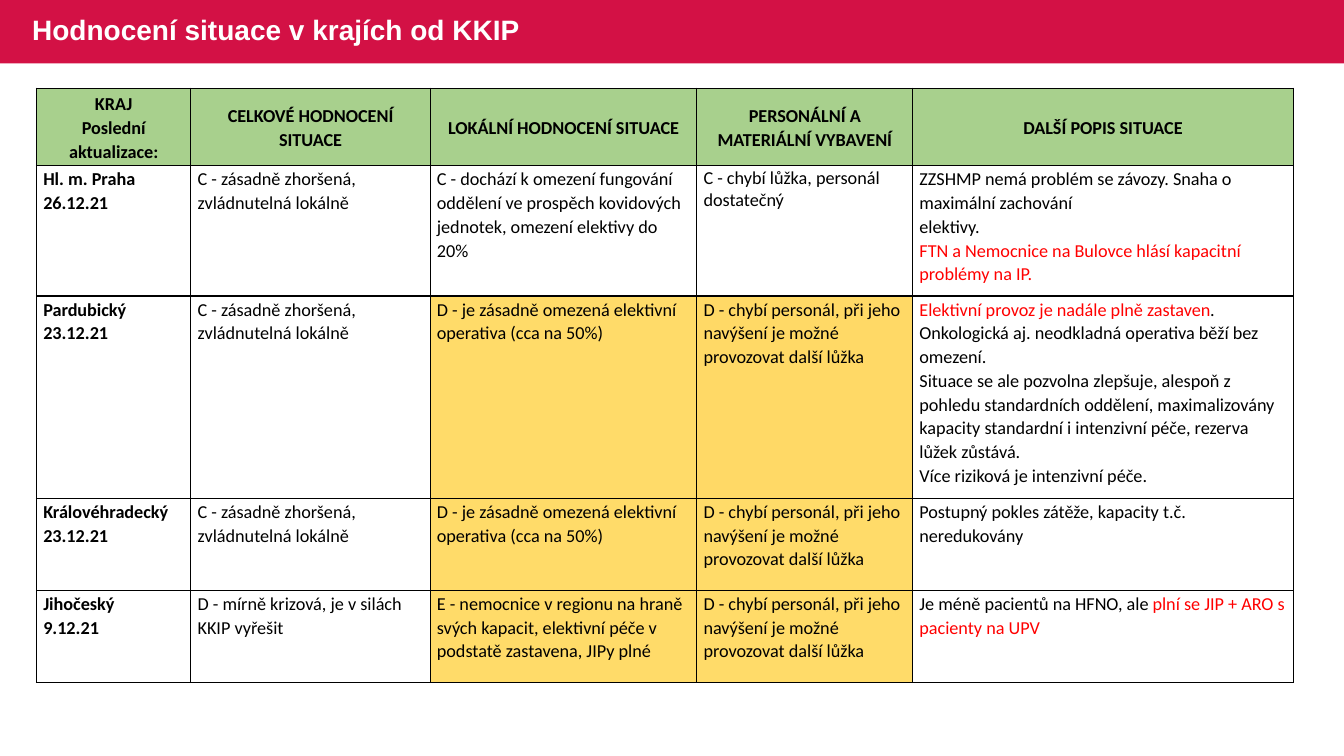
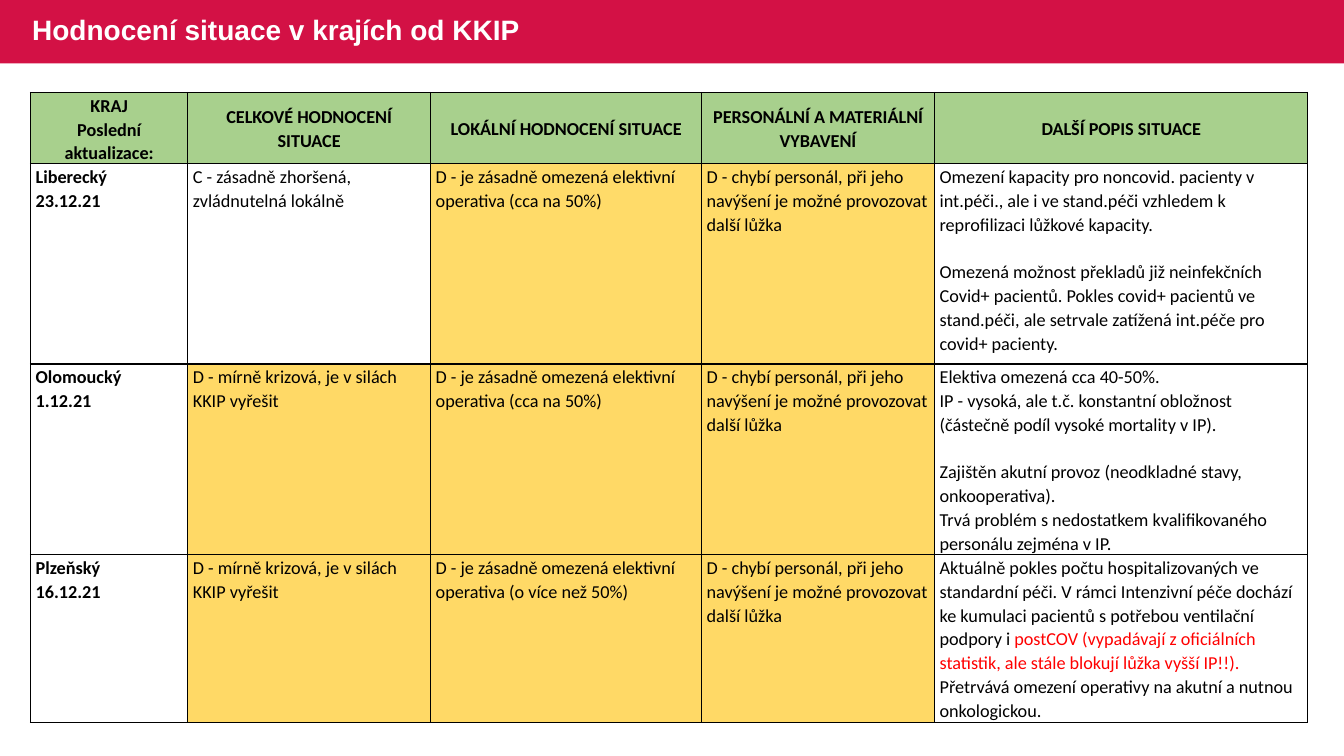
"""Build two slides that rate the situation in the Czech regions."""
from dataclasses import dataclass

from lxml.etree import SubElement
from pptx import Presentation
from pptx.dml.color import RGBColor
from pptx.enum.shapes import MSO_SHAPE
from pptx.enum.text import MSO_ANCHOR, PP_ALIGN
from pptx.oxml.ns import qn
from pptx.util import Cm, Pt

CRIMSON, WHITE, BLACK, RED = "D31145", "FFFFFF", "000000", "FF0000"
GREEN, AMBER, GOLD = "A8D08D", "FFDB69", "FFD966"
SLIDE_WIDTH, SLIDE_HEIGHT, BAND_HEIGHT = Cm(33.87), Cm(19.05), Cm(1.6)
TITLE = "Hodnocení situace v krajích od KKIP"


@dataclass(frozen=True)
class Span:
    text: str
    color: str = BLACK


@dataclass(frozen=True)
class Para:
    spans: tuple[Span, ...]
    gap: float = 0


@dataclass(frozen=True)
class Entry:
    paras: tuple[Para, ...]
    fill: str | None = None
    spacing: float = 1.07
    bold: bool = False
    heading: bool = False


@dataclass(frozen=True)
class Sheet:
    left: float
    top: float
    widths: tuple[float, ...]
    heights: tuple[float, ...]
    margin: float
    rows: tuple[tuple[Entry, ...], ...]


def plain(text: str, gap: float = 0) -> Para:
    return Para((Span(text),), gap)


def rating(text: str, fill: str | None = None, spacing: float = 1.07) -> Entry:
    return Entry((plain(text),), fill, spacing)


def region(name: str, date: str) -> Entry:
    return Entry((plain(name), plain(date)), bold=True)


def heading(*lines: str) -> Entry:
    return Entry(tuple(plain(line) for line in lines), GREEN, bold=True, heading=True)


def details(*paras: Para) -> Entry:
    return Entry(paras)


HEADINGS = (
    heading("KRAJ", "Poslední aktualizace:"),
    heading("CELKOVÉ HODNOCENÍ SITUACE"),
    heading("LOKÁLNÍ HODNOCENÍ SITUACE"),
    heading("PERSONÁLNÍ A MATERIÁLNÍ VYBAVENÍ"),
    heading("DALŠÍ POPIS SITUACE"),
)
WORSENED = "C - zásadně zhoršená, zvládnutelná lokálně"
MILD_CRISIS = "D - mírně krizová, je v silách KKIP vyřešit"
HALF_LIMITED = "D - je zásadně omezená elektivní operativa (cca na 50%)"
STAFF_MISSING = "D - chybí personál, při jeho navýšení je možné provozovat další lůžka"
BLANK_LINE = 17

SHEETS = (
    Sheet(
        0.92, 2.22, (3.89, 6.03, 6.72, 5.44, 9.59), (1.96, 3.28, 5.1, 2.32, 2.32), 0.17,
        (
            HEADINGS,
            (
                region("Hl. m. Praha", "26.12.21"),
                rating(WORSENED),
                rating("C - dochází k omezení fungování oddělení ve prospěch "
                       "kovidových jednotek, omezení elektivy do 20%"),
                rating("C - chybí lůžka, personál dostatečný", spacing=1),
                details(
                    plain("ZZSHMP nemá problém se závozy. Snaha o maximální zachování\nelektivy."),
                    Para((Span("FTN a Nemocnice na Bulovce hlásí kapacitní "
                               "problémy na IP.", RED),)),
                ),
            ),
            (
                region("Pardubický", "23.12.21"),
                rating(WORSENED),
                rating(HALF_LIMITED, AMBER),
                rating(STAFF_MISSING, GOLD),
                details(
                    Para((Span("Elektivní provoz je nadále plně zastaven", RED),
                          Span(". Onkologická aj. neodkladná operativa běží bez omezení."))),
                    plain("Situace se ale pozvolna zlepšuje, alespoň z pohledu standardních "
                          "oddělení, maximalizovány kapacity standardní i intenzivní péče, "
                          "rezerva lůžek zůstává."),
                    plain("Více riziková je intenzivní péče."),
                ),
            ),
            (
                region("Královéhradecký", "23.12.21"),
                rating(WORSENED),
                rating(HALF_LIMITED, AMBER),
                rating(STAFF_MISSING, AMBER),
                details(plain("Postupný pokles zátěže, kapacity t.č. neredukovány")),
            ),
            (
                region("Jihočeský", "9.12.21"),
                rating(MILD_CRISIS),
                rating("E - nemocnice v regionu na hraně svých kapacit, elektivní péče "
                       "v podstatě zastavena, JIPy plné", AMBER),
                rating(STAFF_MISSING, AMBER),
                details(Para((Span("Je méně pacientů na HFNO, ale "),
                              Span("plní se JIP + ARO s pacienty na UPV", RED)))),
            ),
        ),
    ),
    Sheet(
        0.77, 2.33, (3.96, 6.12, 6.83, 5.87, 9.41), (1.8, 5.04, 4.81, 4.22), 0.13,
        (
            HEADINGS,
            (
                region("Liberecký", "23.12.21"),
                rating(WORSENED),
                rating(HALF_LIMITED, AMBER),
                rating(STAFF_MISSING, AMBER),
                details(
                    plain("Omezení kapacity pro noncovid. pacienty v int.péči., ale i ve "
                          "stand.péči vzhledem k reprofilizaci lůžkové kapacity."),
                    plain("Omezená možnost překladů již neinfekčních Covid+ pacientů. Pokles "
                          "covid+ pacientů ve stand.péči, ale setrvale zatížená int.péče pro "
                          "covid+ pacienty.", BLANK_LINE),
                ),
            ),
            (
                region("Olomoucký", "1.12.21"),
                rating(MILD_CRISIS, GOLD),
                rating(HALF_LIMITED, GOLD),
                rating(STAFF_MISSING, GOLD),
                details(
                    plain("Elektiva omezená cca 40-50%."),
                    plain("IP - vysoká, ale t.č. konstantní obložnost "
                          "(částečně podíl vysoké mortality v IP)."),
                    plain("Zajištěn akutní provoz (neodkladné stavy, onkooperativa).", BLANK_LINE),
                    plain("Trvá problém s nedostatkem kvalifikovaného personálu zejména v IP."),
                ),
            ),
            (
                region("Plzeňský", "16.12.21"),
                rating(MILD_CRISIS, GOLD),
                rating("D - je zásadně omezená elektivní operativa (o více než 50%)", GOLD),
                rating(STAFF_MISSING, GOLD),
                details(
                    Para((Span("Aktuálně pokles počtu hospitalizovaných ve standardní péči. "
                               "V rámci Intenzivní péče dochází ke kumulaci pacientů s potřebou "
                               "ventilační podpory i "),
                          Span("postCOV (vypadávají z oficiálních statistik, ale stále blokují "
                               "lůžka vyšší IP!!).", RED))),
                    plain("Přetrvává omezení operativy na akutní a nutnou onkologickou."),
                ),
            ),
        ),
    ),
)


def paint(color_format, color: str) -> None:
    color_format.rgb = RGBColor.from_string(color)


def add_span(paragraph, text: str, font: str, size: float, color: str, bold: bool) -> None:
    for index, line in enumerate(text.split("\n")):
        if index:
            paragraph.add_line_break()
        run = paragraph.add_run()
        run.text = line
        run.font.name, run.font.size, run.font.bold = font, Pt(size), bold
        paint(run.font.color, color)


def add_title_band(page) -> None:
    band = page.shapes.add_shape(MSO_SHAPE.RECTANGLE, 0, 0, SLIDE_WIDTH, BAND_HEIGHT)
    band.shadow.inherit = False
    band.fill.solid()
    paint(band.fill.fore_color, CRIMSON)
    band.line.fill.background()
    box = page.shapes.add_textbox(Cm(0.56), 0, Cm(20.68), BAND_HEIGHT)
    frame = box.text_frame
    frame.word_wrap = True
    frame.vertical_anchor = MSO_ANCHOR.MIDDLE
    paragraph = frame.paragraphs[0]
    paragraph.line_spacing = 0.9
    add_span(paragraph, TITLE, "Arial", 20, WHITE, True)


def add_borders(cell) -> None:
    properties = cell._tc.get_or_add_tcPr()
    for side in ("a:lnL", "a:lnR", "a:lnT", "a:lnB"):
        line = SubElement(properties, qn(side), w=str(Pt(1)))
        SubElement(SubElement(line, qn("a:solidFill")), qn("a:srgbClr"), val=BLACK)


def fill_cell(cell, entry: Entry, margin: float) -> None:
    add_borders(cell)
    if entry.fill:
        cell.fill.solid()
        paint(cell.fill.fore_color, entry.fill)
    else:
        cell.fill.background()
    cell.margin_left = cell.margin_right = Cm(margin)
    cell.margin_top, cell.margin_bottom = Cm(0.03), 0
    cell.vertical_anchor = MSO_ANCHOR.MIDDLE if entry.heading else MSO_ANCHOR.TOP
    frame = cell.text_frame
    for index, para in enumerate(entry.paras):
        paragraph = frame.add_paragraph() if index else frame.paragraphs[0]
        paragraph.alignment = PP_ALIGN.CENTER if entry.heading else PP_ALIGN.LEFT
        paragraph.line_spacing = entry.spacing
        if para.gap:
            paragraph.space_before = Pt(para.gap)
        for span in para.spans:
            add_span(paragraph, span.text, "Calibri", 13, span.color, entry.bold)


def add_sheet(page, sheet: Sheet) -> None:
    table = page.shapes.add_table(
        len(sheet.heights), len(sheet.widths), Cm(sheet.left), Cm(sheet.top),
        Cm(sum(sheet.widths)), Cm(sum(sheet.heights)),
    ).table
    table.first_row = table.horz_banding = False
    for column, width in zip(table.columns, sheet.widths):
        column.width = Cm(width)
    for row, height, entries in zip(table.rows, sheet.heights, sheet.rows):
        row.height = Cm(height)
        for cell, entry in zip(row.cells, entries):
            fill_cell(cell, entry, sheet.margin)


def main() -> None:
    deck = Presentation()
    deck.slide_width, deck.slide_height = SLIDE_WIDTH, SLIDE_HEIGHT
    for sheet in SHEETS:
        page = deck.slides.add_slide(deck.slide_layouts[6])
        add_title_band(page)
        add_sheet(page, sheet)
    deck.save("out.pptx")


if __name__ == "__main__":
    main()
